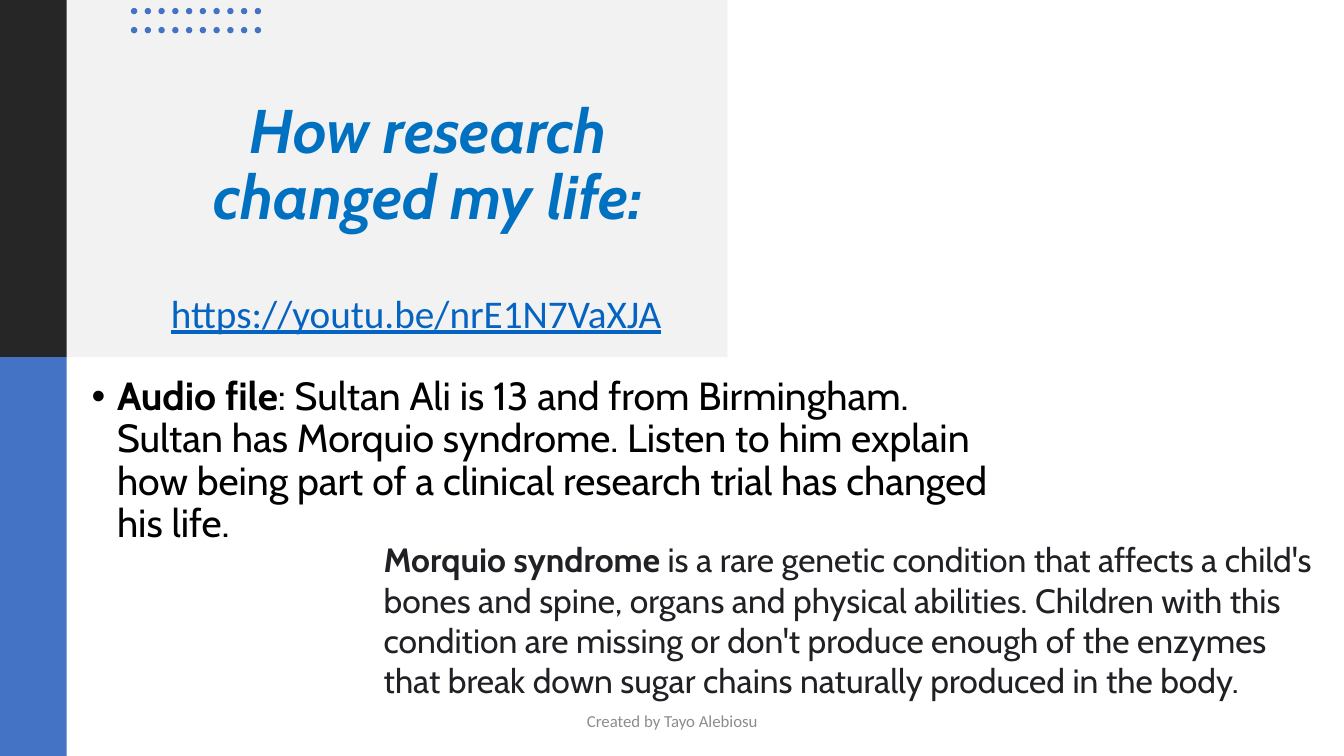
from lxml.etree import SubElement
from pptx import Presentation
from pptx.dml.color import RGBColor
from pptx.enum.shapes import MSO_SHAPE
from pptx.enum.text import MSO_ANCHOR, MSO_AUTO_SIZE, PP_ALIGN
from pptx.oxml.ns import qn
from pptx.util import Cm, Pt

COLORS = {
    "panel": "F2F2F2", "dark": "262626", "accent": "4472C4",
    "title": "0070C0", "body": "000000", "link": "0563C1",
    "definition": "202124", "footer": "8C8C8C",
}


class SlideBuilder:
    def __init__(self, slide, colors, font):
        self.slide, self.colors, self.font = slide, colors, font

    def color(self, name):
        return RGBColor.from_string(self.colors[name])

    def block(self, kind, left, top, width, height, fill, parent=None):
        """Add a plain filled shape to the slide or to a group."""
        shapes = (parent or self.slide).shapes
        shape = shapes.add_shape(kind, Cm(left), Cm(top), Cm(width), Cm(height))
        shape.shadow.inherit = False
        shape.fill.solid()
        shape.fill.fore_color.rgb = self.color(fill)
        shape.line.fill.background()

    def dot_grid(self, left, top, columns, rows, pitch_x, pitch_y, size, fill):
        group = self.slide.shapes.add_group_shape()
        for row in range(rows):
            for column in range(columns):
                self.block(MSO_SHAPE.OVAL, left + column * pitch_x,
                           top + row * pitch_y, size, size, fill, group)

    def text(self, runs, left, top, width, height, *, size, color, font=None,
             italic=False, underline=False, align=PP_ALIGN.LEFT,
             anchor=MSO_ANCHOR.TOP, line_spacing=None, space_after=None,
             bottom_inset=0.13, bullet_indent=None, grow=False):
        """Add a text box; runs is a list of (words, bold) pairs."""
        box = self.slide.shapes.add_textbox(Cm(left), Cm(top), Cm(width), Cm(height))
        frame = box.text_frame
        frame.word_wrap = True
        frame.auto_size = MSO_AUTO_SIZE.SHAPE_TO_FIT_TEXT if grow else MSO_AUTO_SIZE.NONE
        frame.vertical_anchor = anchor
        frame.margin_bottom = Cm(bottom_inset)
        paragraph = frame.paragraphs[0]
        paragraph.alignment = align
        if line_spacing:
            paragraph.line_spacing = line_spacing
        if space_after:
            paragraph.space_after = Pt(space_after)
        if bullet_indent:
            properties = paragraph._p.get_or_add_pPr()
            properties.set("marL", str(Cm(bullet_indent)))
            properties.set("indent", str(-Cm(bullet_indent)))
            SubElement(properties, qn("a:buFont"), typeface="Arial")
            SubElement(properties, qn("a:buChar"), char="•")
        for words, bold in runs:
            run = paragraph.add_run()
            run.text = words
            run.font.name = font or self.font
            run.font.size = Pt(size)
            run.font.bold = bold
            run.font.italic = italic
            run.font.underline = underline
            run.font.color.rgb = self.color(color)


def main():
    deck = Presentation()
    deck.slide_width, deck.slide_height = Cm(33.87), Cm(19.05)
    page = SlideBuilder(deck.slides.add_slide(deck.slide_layouts[6]), COLORS, "Cabin")

    header_height, stripe_width = 9, 1.68
    page.block(MSO_SHAPE.RECTANGLE, 0, 0, 18.33, header_height, "panel")
    page.text([("How research changed my life:", True)], 3.25, 1.88, 15.09, 6.3,
              size=44, color="title", italic=True, align=PP_ALIGN.CENTER,
              anchor=MSO_ANCHOR.MIDDLE, line_spacing=0.9, bottom_inset=1.8)
    page.block(MSO_SHAPE.RECTANGLE, 0, 0, stripe_width, header_height, "dark")
    page.dot_grid(3.3, 0.2, 10, 2, 3.12 / 9, 0.48, 0.16, "accent")
    page.block(MSO_SHAPE.RECTANGLE, 0, header_height, stripe_width,
               19.05 - header_height, "accent")

    page.text([("Audio file", True),
               (": Sultan Ali is 13 and from Birmingham. Sultan has Morquio syndrome. "
                "Listen to him explain how being part of a clinical research trial "
                "has changed his life.", False)],
              2.06, 8.59, 23.62, 7.32, size=28, color="body",
              anchor=MSO_ANCHOR.MIDDLE, line_spacing=0.9, bottom_inset=1.37,
              bullet_indent=0.64)
    page.text([("https://youtu.be/nrE1N7VaXJA", False)], 4.06, 7.16, 16.51, 3.84,
              size=28, color="link", font="Calibri", underline=True,
              space_after=6, grow=True)
    page.text([("Morquio syndrome", True),
               (" is a rare genetic condition that affects a child's bones and spine, "
                "organs and physical abilities. Children with this condition are missing "
                "or don't produce enough of the enzymes that break down sugar chains "
                "naturally produced in the body.", False)],
              9.42, 13.46, 23.9, 4.37, size=24, color="definition", grow=True)
    page.text([("Created by Tayo Alebiosu", False)], 11.23, 17.65, 11.43, 1.02,
              size=12, color="footer", font="Calibri", align=PP_ALIGN.CENTER,
              anchor=MSO_ANCHOR.MIDDLE)
    deck.save("out.pptx")


if __name__ == "__main__":
    main()
